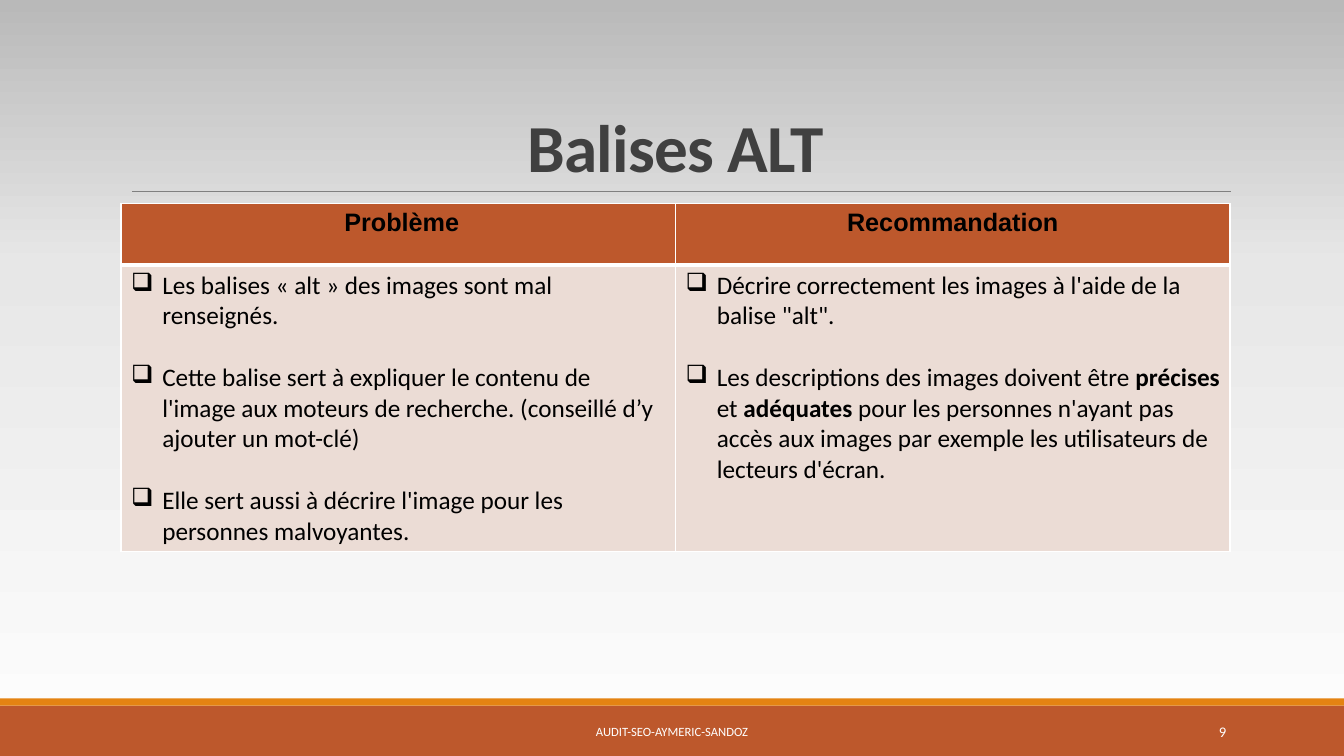
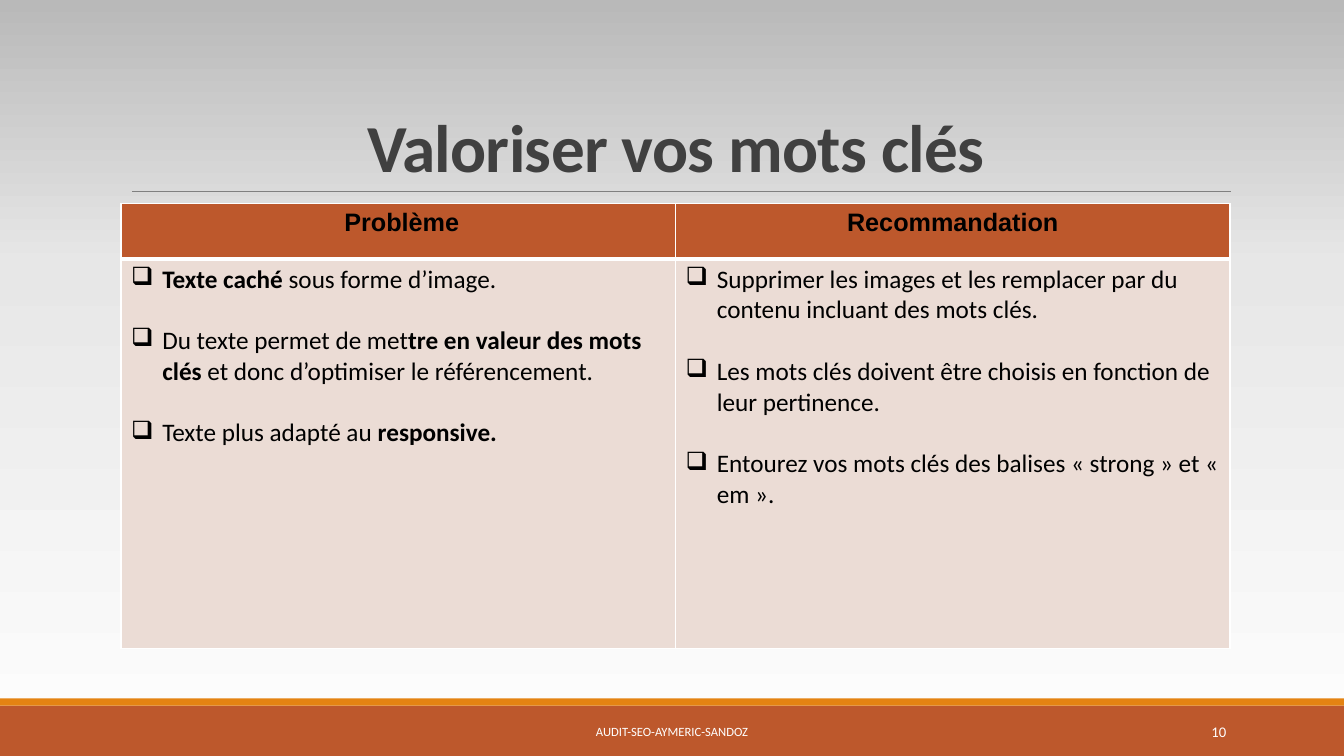
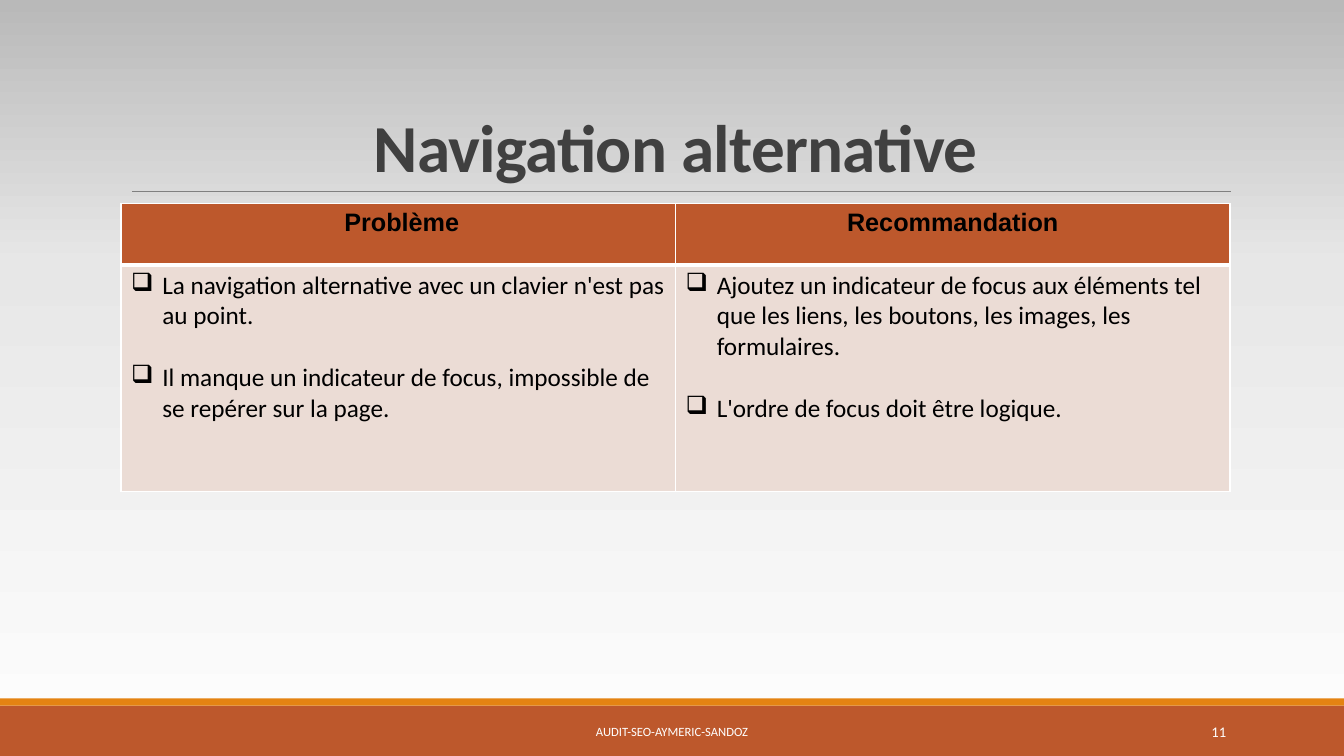
"""Build three SEO audit slides, each with a problem and recommendation table."""
from copy import deepcopy

from lxml.etree import SubElement
from pptx import Presentation
from pptx.dml.color import RGBColor
from pptx.enum.shapes import MSO_CONNECTOR, MSO_SHAPE
from pptx.enum.text import MSO_ANCHOR, MSO_AUTO_SIZE, PP_ALIGN
from pptx.oxml.ns import qn
from pptx.util import Inches, Pt

RUST, ORANGE, BLUSH = "BD582C", "E48312", "EBDCD5"
WHITE, BLACK, CHARCOAL, GREY = "FFFFFF", "000000", "404040", "808080"
BACKDROP = [(0, "FEFEFE"), (0.65, "E7E7E7"), (1, "B9B9B9")]
BANDS = [(7, 0.5, RUST), (6.93, 0.07, ORANGE)]
HEADINGS = [" Problème", "Recommandation"]
FIRST_NUMBER = 9

TOPICS = [
    ("Balises ALT", (0.61, 2.84), [
        ["Les balises « alt » des images sont mal renseignés.",
         "Cette balise sert à expliquer le contenu de l'image aux moteurs de "
         "recherche. (conseillé d’y ajouter un mot-clé)",
         "Elle sert aussi à décrire l'image pour les personnes malvoyantes."],
        ["Décrire correctement les images à l'aide de la balise \"alt\".",
         "Les descriptions des images doivent être *précises* et *adéquates* pour "
         "les personnes n'ayant pas accès aux images par exemple les utilisateurs "
         "de lecteurs d'écran."],
    ]),
    ("Valoriser vos mots clés", (0.55, 3.86), [
        ["*Texte caché *sous forme d’image.",
         "Du texte permet de met*tre en valeur des mots clés *et donc d’optimiser "
         "le référencement.",
         "Texte plus adapté au *responsive.*"],
        ["Supprimer les images et les remplacer par du contenu incluant des mots clés.",
         "Les mots clés doivent être choisis en fonction de leur pertinence.",
         "Entourez vos mots clés des balises « strong » et « em »."],
    ]),
    ("Navigation alternative", (0.61, 2.25), [
        ["La navigation alternative avec un clavier n'est pas au point.",
         "Il manque un indicateur de focus, impossible de se repérer sur la page."],
        ["Ajoutez un indicateur de focus aux éléments tel que les liens, les "
         "boutons, les images, les formulaires.",
         "L'ordre de focus doit être logique."],
    ]),
]


def color(value):
    return RGBColor.from_string(value)


def format_run(run, size, ink, bold=False, face="Calibri"):
    run.font.name = face
    run.font.size = Pt(size)
    run.font.bold = bold
    run.font.color.rgb = color(ink)


prs = Presentation()
prs.slide_width, prs.slide_height = Inches(13.33), Inches(7.5)

backdrop = prs.slide_master.background.fill
backdrop.gradient()
backdrop.gradient_angle = 90
stop_list = prs.slide_master.element.find(".//" + qn("a:gsLst"))
stop_list.append(deepcopy(stop_list[0]))
for stop, (position, shade) in zip(backdrop.gradient_stops, BACKDROP):
    stop.position = position
    stop.color.rgb = color(shade)

for number, (topic, heights, columns) in enumerate(TOPICS, FIRST_NUMBER):
    slide = prs.slides.add_slide(prs.slide_layouts[5])

    for top, height, shade in BANDS:
        band = slide.shapes.add_shape(
            MSO_SHAPE.RECTANGLE, 0, Inches(top), prs.slide_width, Inches(height))
        band.shadow.inherit = False
        band.fill.solid()
        band.fill.fore_color.rgb = color(shade)
        band.line.fill.background()

    rule = slide.shapes.add_connector(
        MSO_CONNECTOR.STRAIGHT, Inches(1.31), Inches(1.9), Inches(12.21), Inches(1.9))
    rule.line.color.rgb = color(GREY)
    rule.line.width = Pt(0.5)
    SubElement(rule.element.spPr, qn("a:effectLst"))

    title = slide.shapes.title
    title.left, title.top = Inches(1.2), Inches(0.31)
    title.width, title.height = Inches(11), Inches(1.59)
    title.text_frame.text = topic
    title.text_frame.auto_size = MSO_AUTO_SIZE.NONE
    title.text_frame.vertical_anchor = MSO_ANCHOR.BOTTOM
    heading = title.text_frame.paragraphs[0]
    heading.alignment = PP_ALIGN.CENTER
    heading.line_spacing = 0.85
    format_run(heading.runs[0], 48, CHARCOAL, True)
    heading.runs[0].font._element.set("spc", "-50")

    for left, width, text, size, alignment in [
        (4.03, 5.27, "AUDIT-SEO-AYMERIC-SANDOZ", 9, PP_ALIGN.CENTER),
        (10.83, 1.43, str(number), 10.5, PP_ALIGN.RIGHT),
    ]:
        footer = slide.shapes.add_textbox(
            Inches(left), Inches(7.06), Inches(width), Inches(0.4)).text_frame
        footer.word_wrap = True
        footer.vertical_anchor = MSO_ANCHOR.MIDDLE
        footer.text = text
        footer.paragraphs[0].alignment = alignment
        format_run(footer.paragraphs[0].runs[0], size, WHITE)

    advice = slide.shapes.add_table(
        2, 2, Inches(1.2), Inches(2.02), Inches(11), Inches(sum(heights))).table
    advice.horz_banding = False
    for row, height in zip(advice.rows, heights):
        row.height = Inches(height)

    for row_index, (shade, edges) in enumerate([
        (RUST, {"lnL": 1, "lnR": 1, "lnT": 1, "lnB": 3}),
        (BLUSH, {"lnL": 1, "lnR": 1, "lnT": 3, "lnB": 1}),
    ]):
        for cell in advice.rows[row_index].cells:
            properties = cell._tc.get_or_add_tcPr()
            for edge, weight in edges.items():
                border = SubElement(properties, qn("a:" + edge), w=str(Pt(weight)))
                SubElement(SubElement(border, qn("a:solidFill")), qn("a:srgbClr"), val=WHITE)
            cell.fill.solid()
            cell.fill.fore_color.rgb = color(shade)

    for column, (label, points) in enumerate(zip(HEADINGS, columns)):
        header = advice.cell(0, column).text_frame
        header.text = label
        header.paragraphs[0].alignment = PP_ALIGN.CENTER
        format_run(header.paragraphs[0].runs[0], 18, BLACK, True, "Arial")

        body = advice.cell(1, column).text_frame
        for index, point in enumerate(points):
            paragraph = body.add_paragraph() if index else body.paragraphs[0]
            paragraph.space_before = Pt(22 if index else 0)
            layout = paragraph._p.get_or_add_pPr()
            layout.set("marL", str(Inches(0.31)))
            layout.set("indent", str(-Inches(0.31)))
            SubElement(layout, qn("a:buChar"), char="❑")
            for part_index, part in enumerate(point.split("*")):
                if part:
                    run = paragraph.add_run()
                    run.text = part
                    format_run(run, 18, BLACK, part_index % 2 == 1)

prs.save("out.pptx")
